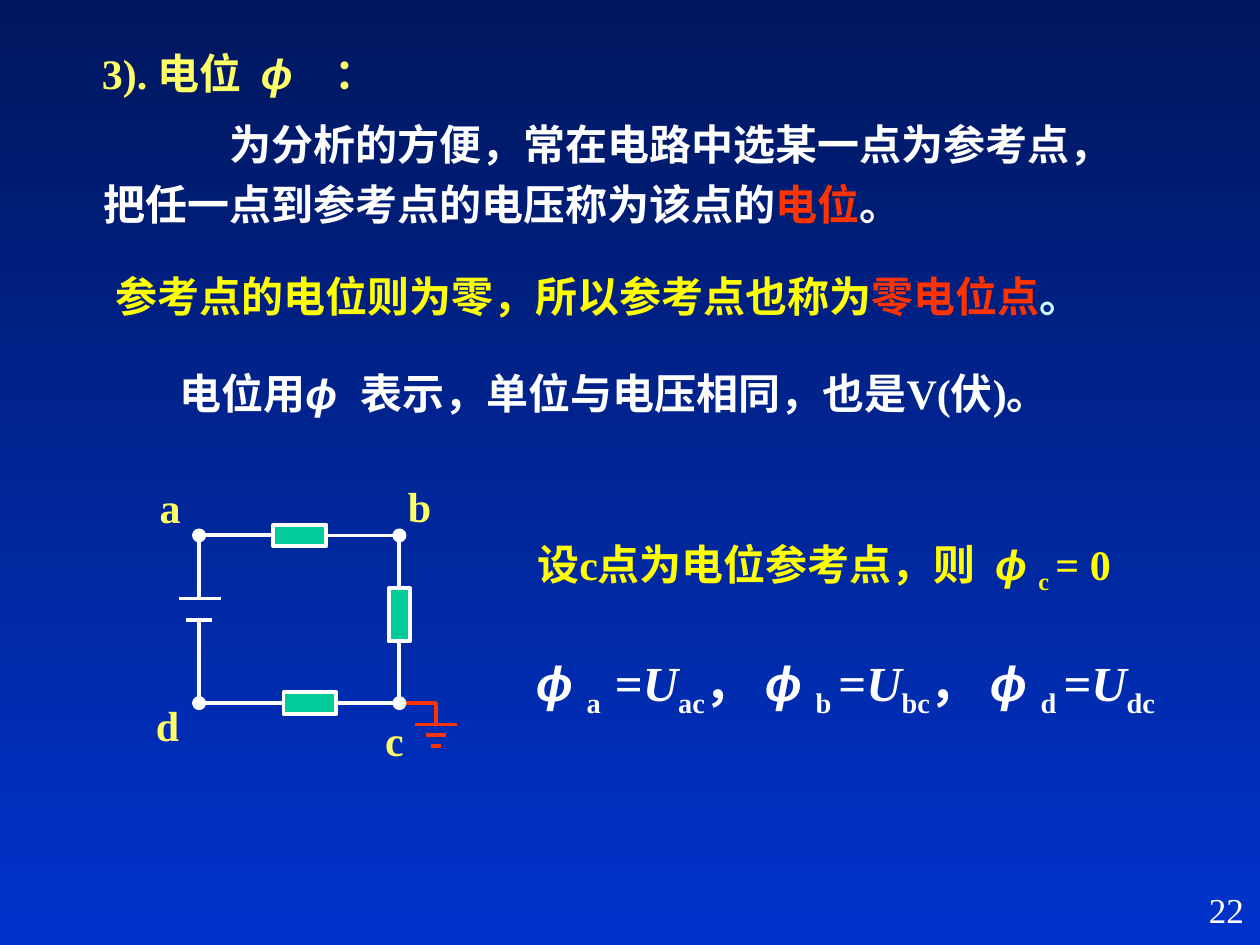
from dataclasses import dataclass

from lxml.etree import SubElement
from pptx import Presentation
from pptx.dml.color import RGBColor
from pptx.enum.shapes import MSO_CONNECTOR as Connector, MSO_SHAPE as Preset
from pptx.enum.text import MSO_ANCHOR as Anchor, MSO_AUTO_SIZE as AutoSize, PP_ALIGN as Align
from pptx.oxml.ns import qn
from pptx.util import Inches, Pt

COLORS = {
    "night": "00175E", "blue": "0033CC", "white": "FFFFFF", "yellow": "FFFF00",
    "pale": "FFFF66", "red": "FF3300", "ice": "CCFFFF", "green": "00CC99",
}
LATIN, SYMBOL, CHINESE = "Times New Roman", "Arial", "Noto Sans CJK SC"
LINE_WIDTH = Pt(2.25)
LEFT, RIGHT, TOP, BOTTOM = 1.58, 3.17, 4.25, 5.58


@dataclass
class Span:
    text: str
    color: str = ""
    font: str = LATIN
    italic: bool = False
    subscript: bool = False


@dataclass
class Box:
    left: float
    top: float
    width: float
    height: float

    def lengths(self) -> list:
        return [Inches(v) for v in (self.left, self.top, self.width, self.height)]


@dataclass
class Resistor:
    x: float
    y: float
    width: float
    height: float


@dataclass
class Wire:
    points: list
    color: str = "white"


@dataclass
class Bar:
    left: float
    right: float
    y: float
    color: str


@dataclass
class NodeLabel:
    text: str
    box: Box


def rgb(name: str) -> RGBColor:
    return RGBColor.from_string(COLORS[name])


def add_text(page, box: Box, spans: list, *, color="white", size=24, bold=True, align=Align.CENTER,
             anchor=Anchor.MIDDLE, before=15.0, spacing=1.0, indent=0.0, grow=True) -> None:
    frame = page.shapes.add_textbox(*box.lengths()).text_frame
    frame.word_wrap = True
    frame.auto_size = AutoSize.SHAPE_TO_FIT_TEXT if grow else AutoSize.NONE
    frame.vertical_anchor = anchor
    para = frame.paragraphs[0]
    para.alignment = align
    para.space_before = Pt(before)
    para.line_spacing = spacing
    if indent:
        para._p.get_or_add_pPr().set("indent", str(Inches(indent)))
    for span in spans:
        run = para.add_run()
        run.text = span.text
        font = run.font
        font.size, font.bold, font.italic = Pt(size), bold, span.italic
        font.color.rgb = rgb(span.color or color)
        font.name = span.font
        properties = run._r.get_or_add_rPr()
        SubElement(properties, qn("a:ea")).set("typeface", CHINESE)
        if span.subscript:
            properties.set("baseline", "-25000")


def add_filled(page, preset: Preset, box: Box, fill: str) -> None:
    shape = page.shapes.add_shape(preset, *box.lengths())
    shape.shadow.inherit = False
    shape.fill.solid()
    shape.fill.fore_color.rgb = rgb(fill)
    shape.line.color.rgb = rgb("white")
    shape.line.width = LINE_WIDTH


def add_wire(page, wire: Wire) -> None:
    points = [(Inches(x), Inches(y)) for x, y in wire.points]
    builder = page.shapes.build_freeform(*points[0])
    builder.add_line_segments(points[1:], close=False)
    shape = builder.convert_to_shape()
    shape.shadow.inherit = False
    shape.fill.background()
    shape.line.color.rgb = rgb(wire.color)
    shape.line.width = LINE_WIDTH


def add_bar(page, bar: Bar) -> None:
    line = page.shapes.add_connector(
        Connector.STRAIGHT, Inches(bar.left), Inches(bar.y), Inches(bar.right), Inches(bar.y))
    line.line.color.rgb = rgb(bar.color)
    line.line.width = LINE_WIDTH
    SubElement(line._element.spPr, qn("a:effectLst"))


def phi(text: str = "ϕ ") -> Span:
    return Span(text, font=SYMBOL, italic=True)


def add_circuit(page) -> None:
    add_wire(page, Wire([(3.21, BOTTOM), (3.46, BOTTOM), (3.46, 5.75)], "red"))
    for bar in (Bar(3.29, 3.63, 5.75, "red"), Bar(3.38, 3.54, 5.83, "red"), Bar(3.42, 3.5, 5.92, "red"),
                Bar(1.42, 1.75, 4.75, "white"), Bar(1.48, 1.68, 4.92, "white")):
        add_bar(page, bar)
    for part in (Resistor(2.46, BOTTOM, 0.42, 0.17), Resistor(2.38, TOP, 0.42, 0.17),
                 Resistor(RIGHT, 4.88, 0.17, 0.42)):
        box = Box(part.x - part.width / 2, part.y - part.height / 2, part.width, part.height)
        add_filled(page, Preset.RECTANGLE, box, "green")
    for wire in (Wire([(LEFT, 4.75), (LEFT, TOP), (2.17, TOP)]),
                 Wire([(2.58, TOP), (RIGHT, TOP), (RIGHT, 4.67)]),
                 Wire([(LEFT, 4.92), (LEFT, BOTTOM), (2.25, BOTTOM)]),
                 Wire([(2.67, BOTTOM), (RIGHT, BOTTOM), (RIGHT, 5.08)])):
        add_wire(page, wire)
    for x in (LEFT, RIGHT):
        for y in (BOTTOM, TOP):
            add_filled(page, Preset.OVAL, Box(x - 0.04, y - 0.04, 0.08, 0.08), "white")
    for label in (NodeLabel("a", Box(1.08, 3.77, 0.54, 0.5)), NodeLabel("b", Box(3.08, 3.76, 0.5, 0.5)),
                  NodeLabel("c", Box(2.92, 5.62, 0.42, 0.5)), NodeLabel("d", Box(1.08, 5.5, 0.5, 0.5))):
        add_text(page, label.box, [Span(label.text)], color="pale")


def potential_spans() -> list:
    spans = []
    for node, subscript in (("a", "a  "), ("b", "b "), ("d", "d ")):
        if spans:
            spans.append(Span("， "))
        spans += [phi(), Span(subscript, subscript=True), Span("="), Span("U", italic=True),
                  Span(node + "c", subscript=True)]
    return spans


def main() -> None:
    deck = Presentation()
    deck.slide_width, deck.slide_height = Inches(10), Inches(7.5)
    page = deck.slides.add_slide(deck.slide_layouts[6])
    fill = page.background.fill
    fill.gradient()
    fill.gradient_angle = 270
    for stop, name, position in zip(fill.gradient_stops, ("night", "blue"), (0, 1)):
        stop.color.rgb = rgb(name)
        stop.position = position

    add_text(page, Box(0.72, 0.81, 8.28, 1.06), [
        Span("为分析的方便，常在电路中选某一点为参考点，把任一点到参考点的电压称为该点的", font=CHINESE),
        Span("电位", "red", CHINESE), Span("。", font=CHINESE)], align=Align.LEFT, spacing=1.2, indent=1)
    add_text(page, Box(0.82, 1.9, 8.25, 0.7), [
        Span("参考点的电位则为零，所以参考点也称为"), Span("零电位点", "red"), Span("。", "ice")],
        color="yellow", align=Align.JUSTIFY, spacing=1.5)
    add_text(page, Box(1.29, 2.67, 7.17, 0.9), [
        Span("电位用"), phi("ϕ  "), Span("表示，单位与电压相同，也是V(伏)。")])
    add_circuit(page)
    add_text(page, Box(4.08, 4.02, 4.92, 0.96), [
        Span("设c点为电位参考点，则  "), phi(), Span("c ", subscript=True), Span("= 0")], color="yellow")
    add_text(page, Box(3.67, 5.13, 6.08, 0.63), potential_spans(), size=28, before=17.5)
    add_text(page, Box(0.71, 0.33, 4, 0.5), [
        Span("3). 电位  "), phi("ϕ　"), Span("：")], color="pale", align=Align.LEFT)
    add_text(page, Box(7.89, 7, 2.08, 0.5), [Span("22")], size=20, bold=False, align=Align.RIGHT,
             anchor=Anchor.TOP, before=0, grow=False)
    deck.save("out.pptx")


if __name__ == "__main__":
    main()
